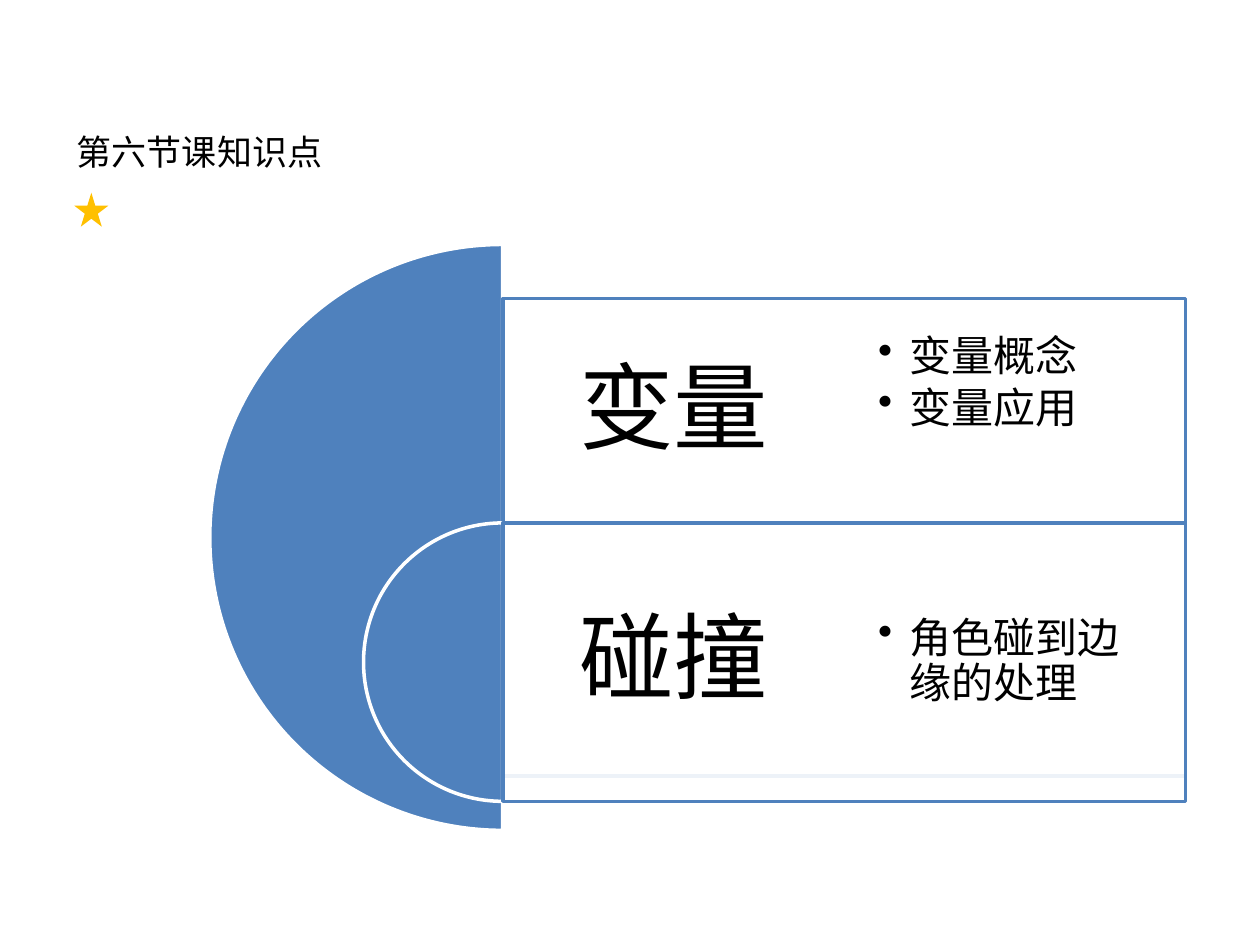
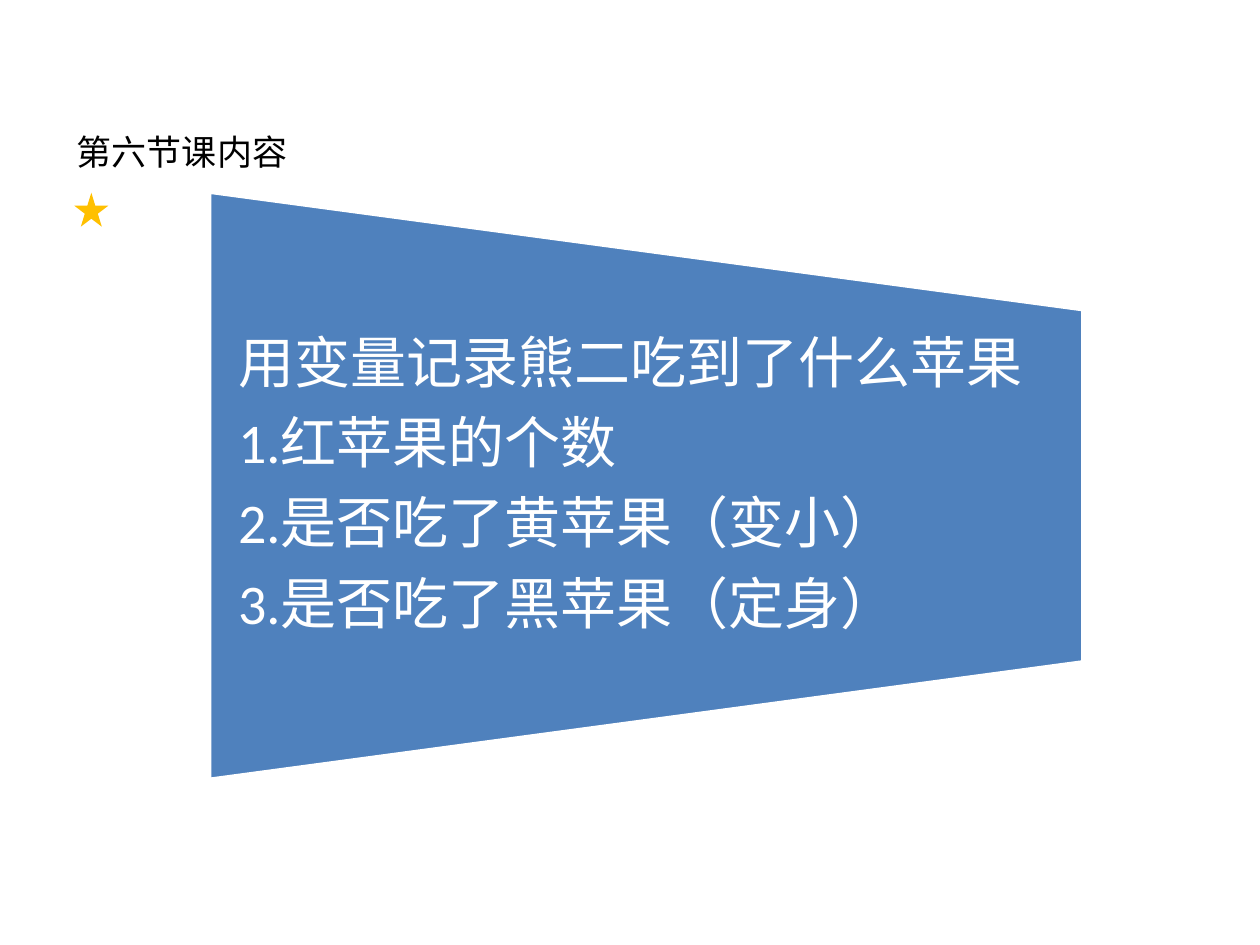
from lxml import etree
from pptx import Presentation
from pptx.dml.color import RGBColor
from pptx.enum.shapes import MSO_SHAPE
from pptx.enum.text import MSO_ANCHOR, MSO_AUTO_SIZE, PP_ALIGN
from pptx.oxml.ns import qn
from pptx.util import Inches, Pt

STAR, PIE, RECT = MSO_SHAPE.STAR_5_POINT, MSO_SHAPE.PIE, MSO_SHAPE.RECTANGLE
TRAPEZOID = MSO_SHAPE.FLOWCHART_MANUAL_OPERATION
LEFT, CENTER = PP_ALIGN.LEFT, PP_ALIGN.CENTER
MIDDLE = MSO_ANCHOR.MIDDLE
BLUE, GOLD, WHITE, BLACK = "4F81BD", "FFC000", "FFFFFF", "000000"
rgb = RGBColor.from_string


def add_shape(slide, kind, box, fill, line=None):
    sp = slide.shapes.add_shape(kind, *map(Inches, box))
    sp.shadow.inherit = False
    sp.fill.solid()
    sp.fill.fore_color.rgb = rgb(fill)
    if line:
        sp.line.color.rgb = rgb(line)
        sp.line.width = Pt(2)
    else:
        sp.line.fill.background()
    return sp


def add_text(slide, box, lines, size, color, align, insets, after, bullet=False):
    """Add middle-anchored text; after is the paragraph gap as a share of the size."""
    tf = slide.shapes.add_textbox(*map(Inches, box)).text_frame
    tf.word_wrap = True
    tf.vertical_anchor = MIDDLE
    tf.margin_left = tf.margin_right = Inches(insets[0])
    tf.margin_top = tf.margin_bottom = Inches(insets[1])
    tf.text = "\n".join(lines)
    for p in tf.paragraphs:
        p.alignment = align
        p.line_spacing = 0.9
        p.space_after = Pt(size * after)
        font = p.runs[0].font
        font.name, font.size, font.color.rgb = "Calibri", Pt(size), rgb(color)
        if bullet:
            p.level = 1
            pPr = p._p.get_or_add_pPr()
            pPr.set("marL", str(Inches(0.25)))
            pPr.set("indent", str(Inches(-0.25)))
            etree.SubElement(pPr, qn("a:buChar")).set("char", "•")


prs = Presentation()
prs.slide_width, prs.slide_height = Inches(10), Inches(7.5)

# Title and star on both slides
slides = []
for heading, width in (("第六节课知识点", 2.17), ("第六节课内容", 1.88)):
    s = prs.slides.add_slide(prs.slide_layouts[5])
    title = s.shapes.title
    title.left, title.top = Inches(0.51), Inches(0.98)
    title.width, title.height = Inches(width), Inches(0.44)
    tf = title.text_frame
    tf.text = heading
    tf.word_wrap = False
    tf.auto_size = MSO_AUTO_SIZE.NONE
    tf.vertical_anchor = MIDDLE
    p = tf.paragraphs[0]
    p.alignment = LEFT
    font = p.runs[0].font
    font.name, font.size, font.color.rgb = "Noto Sans CJK SC", Pt(20), rgb(BLACK)
    add_shape(s, STAR, (0.59, 1.53, 0.27, 0.27), GOLD)
    slides.append(s)
topics_slide, content_slide = slides

# Slide 1: nested half circles, each with a topic panel
panel_left, column = 3.99, 2.71
row_top, row_height = 1.94, 2.21
topics = [
    # topic, points, circle diameter, panel top, panel height, name height
    ("变量", ["变量概念", "变量应用"], 4.65, 2.37, 3.79, 1.8),
    ("碰撞", ["角色碰到边缘的处理"], 2.21, 4.15, 2.21, 2.21),
]
for i, (topic, points, diameter, top, height, name_height) in enumerate(topics):
    circle_top = row_top + i * row_height
    half_circle = add_shape(
        topics_slide, PIE,
        (panel_left - diameter / 2, circle_top, diameter, diameter), BLUE, WHITE)
    half_circle.adjustments[0], half_circle.adjustments[1] = 54, 162

    panel = add_shape(topics_slide, RECT,
                      (panel_left, top, 2 * column, height), WHITE, BLUE)
    fill_color = panel.fill._xPr.find(qn("a:solidFill"))[0]
    etree.SubElement(fill_color, qn("a:alpha")).set("val", "90000")

    add_text(topics_slide, (panel_left, top, column, name_height), [topic],
             54, BLACK, CENTER, (0.23, 0.23), 0.35)
    add_text(topics_slide, (panel_left + column, circle_top, column, row_height),
             points, 24, BLACK, LEFT, (0.27, 0.27), 0.15, bullet=True)

# Slide 2: trapezoid turned on its side, with the tasks
trapezoid = add_shape(content_slide, TRAPEZOID, (2.8, 0.39, 4.66, 6.93), BLUE, WHITE)
trapezoid.rotation = 270
tasks = [
    "用变量记录熊二吃到了什么苹果",
    "1.红苹果的个数",
    "2.是否吃了黄苹果（变小）",
    "3.是否吃了黑苹果（定身）",
]
add_text(content_slide, (1.67, 2.46, 6.93, 2.79), tasks,
         32, WHITE, LEFT, (0.22, 0), 0.35)

prs.save("out.pptx")
